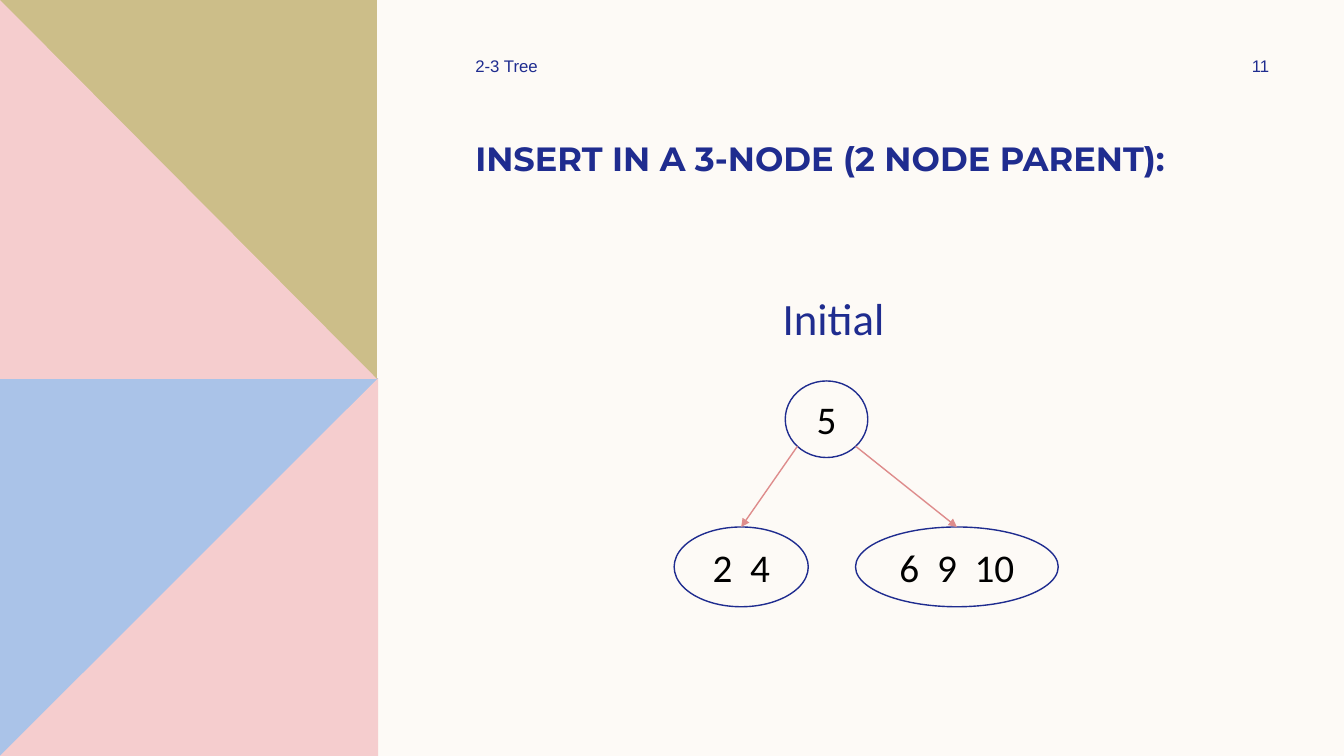
from dataclasses import dataclass
from math import sqrt

from lxml.etree import SubElement
from pptx import Presentation
from pptx.dml.color import RGBColor
from pptx.enum.shapes import MSO_CONNECTOR as Connector, MSO_SHAPE as Shape
from pptx.enum.text import MSO_ANCHOR as Anchor, PP_ALIGN as Align
from pptx.oxml.ns import qn
from pptx.util import Cm, Pt

COLORS = {
    "cream": "FDFAF6",
    "navy": "1F2C8F",
    "blue": "AAC3E8",
    "pink": "F5CDCE",
    "khaki": "CCBE89",
    "rose": "DE8C8C",
    "black": "000000",
}


@dataclass(frozen=True)
class Panel:
    color: str
    corners: tuple[tuple[float, float], ...]


@dataclass(frozen=True)
class Label:
    text: str
    left: float
    top: float
    width: float
    height: float
    size: int
    font: str = "Arial"
    bold: bool = False
    align: Align = Align.LEFT
    anchor: Anchor = Anchor.MIDDLE


@dataclass(frozen=True)
class Node:
    keys: str
    left: float
    top: float
    width: float
    height: float


def rgb(name: str) -> RGBColor:
    return RGBColor.from_string(COLORS[name])


def draw_panel(slide, panel: Panel) -> None:
    points = [(Cm(x), Cm(y)) for x, y in panel.corners]
    builder = slide.shapes.build_freeform(*points[0])
    builder.add_line_segments(points[1:], close=True)
    facet = builder.convert_to_shape()
    facet.shadow.inherit = False
    facet.fill.solid()
    facet.fill.fore_color.rgb = rgb(panel.color)
    facet.line.fill.background()


def write(paragraph, text: str, font: str, size: int, color: str, align: Align) -> None:
    paragraph.text = text
    paragraph.alignment = align
    paragraph.font.name = font
    paragraph.font.size = Pt(size)
    paragraph.font.color.rgb = rgb(color)


def draw_label(slide, label: Label) -> None:
    box = slide.shapes.add_textbox(
        Cm(label.left), Cm(label.top), Cm(label.width), Cm(label.height))
    frame = box.text_frame
    frame.word_wrap = True
    frame.vertical_anchor = label.anchor
    paragraph = frame.paragraphs[0]
    write(paragraph, label.text, label.font, label.size, "navy", label.align)
    paragraph.font.bold = label.bold


def draw_node(slide, node: Node):
    oval = slide.shapes.add_shape(
        Shape.OVAL, Cm(node.left), Cm(node.top), Cm(node.width), Cm(node.height))
    oval.shadow.inherit = False
    oval.fill.solid()
    oval.fill.fore_color.rgb = rgb("cream")
    oval.line.color.rgb = rgb("navy")
    oval.line.width = Pt(1)
    frame = oval.text_frame
    frame.margin_left = frame.margin_right = frame.margin_top = frame.margin_bottom = 0
    frame.vertical_anchor = Anchor.MIDDLE
    write(frame.paragraphs[0], node.keys, "Calibri", 28, "black", Align.CENTER)
    return oval


def draw_branch(slide, parent: Node, child: Node, child_oval, side: int) -> None:
    """Link the parent's lower diagonal (side -1 left, 1 right) to the child's top."""
    start_x = parent.left + parent.width / 2 * (1 + side / sqrt(2))
    start_y = parent.top + parent.height / 2 * (1 + 1 / sqrt(2))
    branch = slide.shapes.add_connector(
        Connector.STRAIGHT, Cm(start_x), Cm(start_y),
        Cm(child.left + child.width / 2), Cm(child.top))
    branch.end_connect(child_oval, 0)
    branch.line.color.rgb = rgb("rose")
    branch.line.width = Pt(1)
    SubElement(branch.line._get_or_add_ln(), qn("a:tailEnd"), type="triangle")
    SubElement(branch._element.spPr, qn("a:effectLst"))


# Content
UPPER_W, UPPER_H = 9.5, 9.55
SIDE, BOTTOM = 9.53, 19.05

PANELS = (
    Panel("blue", ((0, SIDE), (SIDE, SIDE), (SIDE, BOTTOM), (0, BOTTOM))),
    Panel("pink", ((SIDE, SIDE), (SIDE, BOTTOM), (0, BOTTOM))),
    Panel("khaki", ((0, 0), (UPPER_W, 0), (UPPER_W, UPPER_H), (0, UPPER_H))),
    Panel("pink", ((0, 0), (UPPER_W, UPPER_H), (0, UPPER_H))),
)

LABELS = (
    Label("INSERT IN A 3-NODE (2 NODE PARENT):", 11.73, 3.35, 18.8, 2.13, 24,
          "Montserrat", bold=True, anchor=Anchor.TOP),
    Label("Initial", 11.61, 7.19, 18.8, 1.63, 32, "Calibri",
          align=Align.CENTER, anchor=Anchor.TOP),
    Label("2-3 Tree", 11.73, 1.27, 8.89, 0.76, 12),
    Label("11", 30.4, 1.27, 2.74, 0.76, 12, align=Align.CENTER),
)

ROOT = Node("5", 19.79, 9.6, 2.08, 1.93)
LEFT_LEAF = Node("2  4", 16.99, 13.28, 3.38, 2.01)
RIGHT_LEAF = Node("6  9  10", 21.56, 13.28, 5.11, 2.01)


def main() -> None:
    deck = Presentation()
    deck.slide_width, deck.slide_height = Cm(33.87), Cm(BOTTOM)
    slide = deck.slides.add_slide(deck.slide_layouts[6])
    slide.background.fill.solid()
    slide.background.fill.fore_color.rgb = rgb("cream")

    # Side pattern
    for panel in PANELS:
        draw_panel(slide, panel)

    # Heading, caption, header and page number
    for label in LABELS:
        draw_label(slide, label)

    # Tree
    draw_node(slide, ROOT)
    for leaf, side in ((LEFT_LEAF, -1), (RIGHT_LEAF, 1)):
        draw_branch(slide, ROOT, leaf, draw_node(slide, leaf), side)

    deck.save("out.pptx")


if __name__ == "__main__":
    main()
